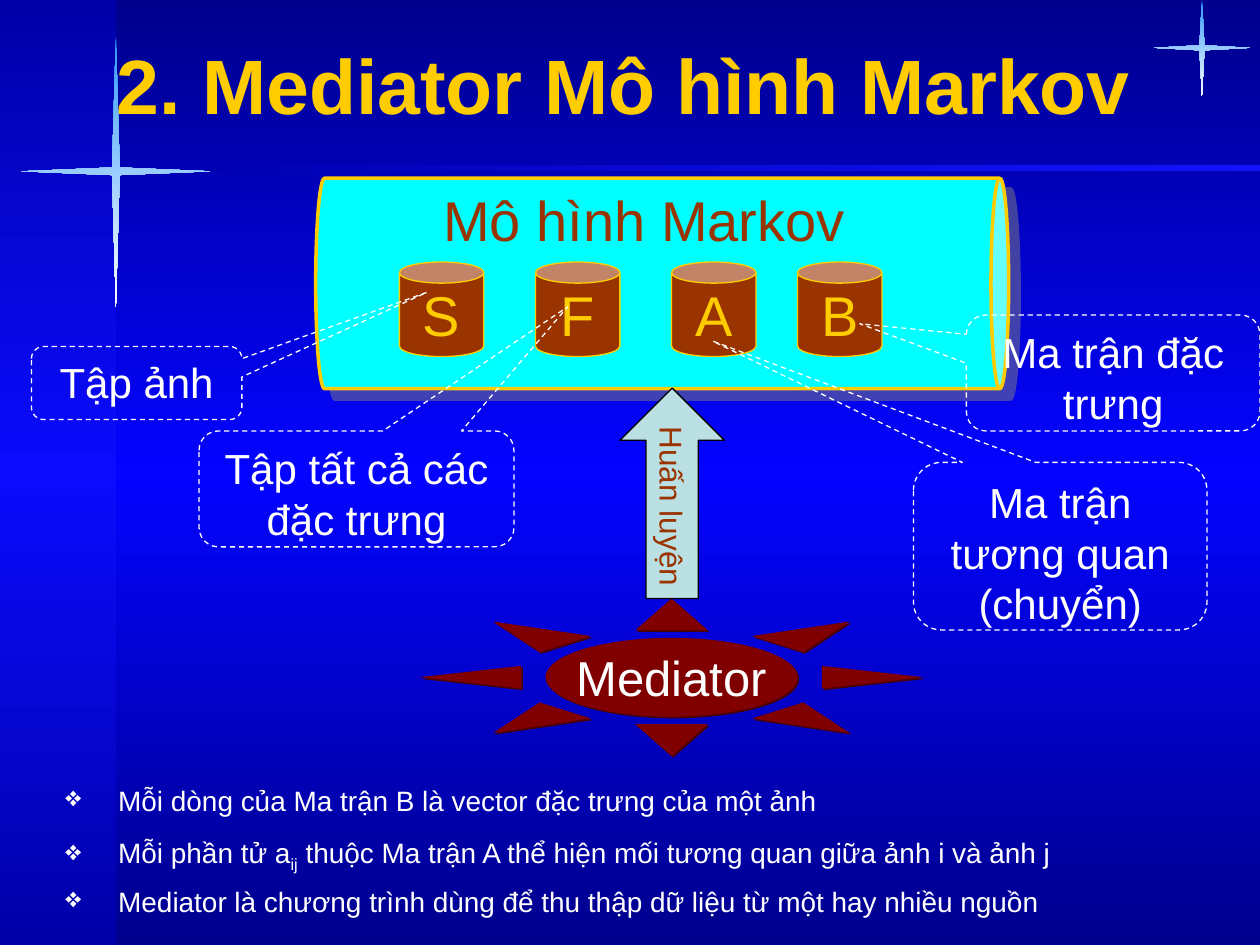
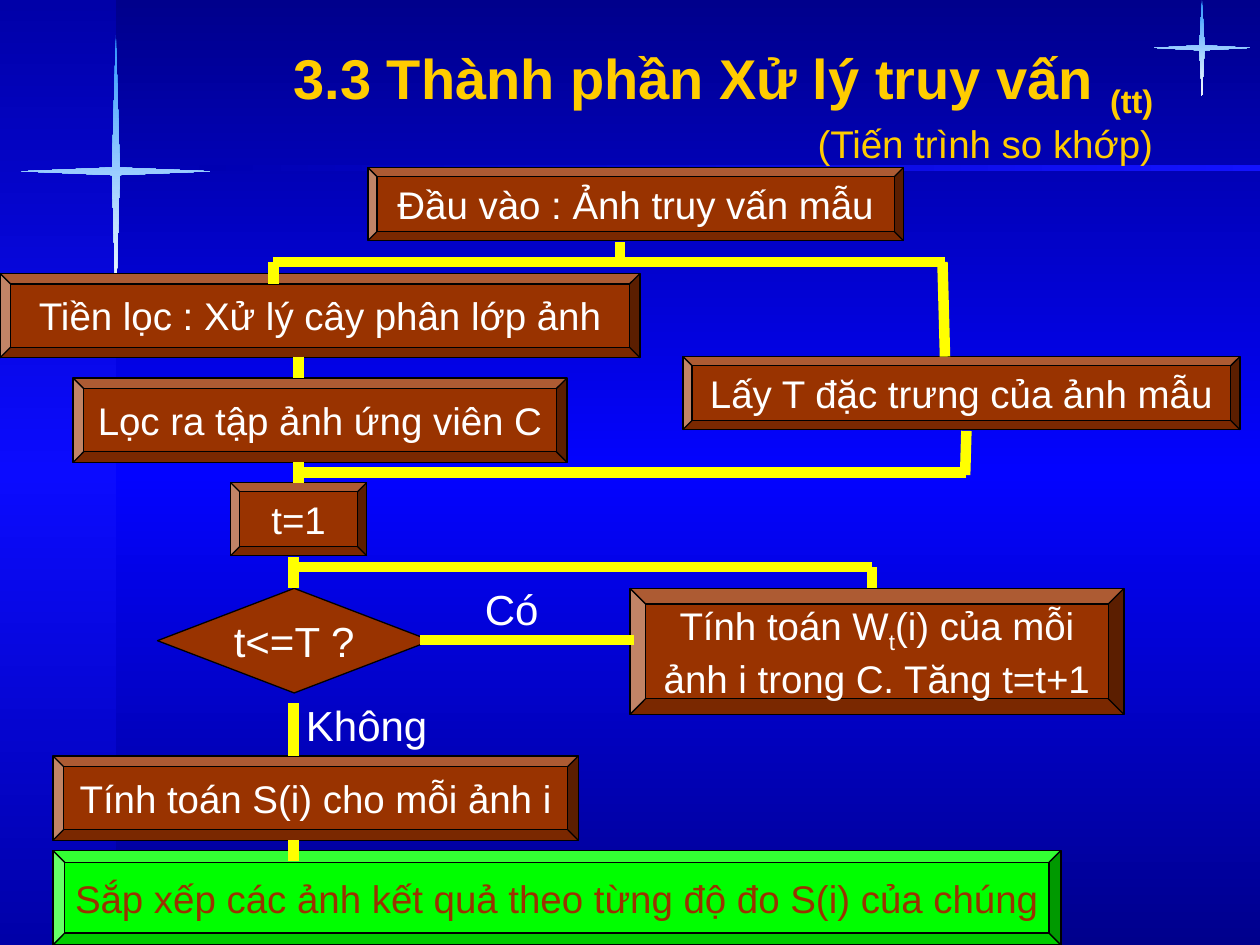
from lxml import etree
from pptx import Presentation
from pptx import util as u
from pptx.dml.color import RGBColor
from pptx.enum import dml, shapes, text
from pptx.oxml import ns

GOLD = RGBColor(0xFF, 0xCC, 0x00)
WHITE = RGBColor(0xFF, 0xFF, 0xFF)
BLACK = RGBColor(0x00, 0x00, 0x00)
BROWN = RGBColor(0x99, 0x33, 0x00)
CYAN = RGBColor(0x00, 0xFF, 0xFF)
GRAY = RGBColor(0x80, 0x80, 0x80)
RED = RGBColor(0x80, 0x00, 0x00)
DARK = RGBColor(0x4C, 0x00, 0x00)
PALE = RGBColor(0xBB, 0xE0, 0xE3)
GREEN = RGBColor(0x00, 0xFF, 0x00)
YELLOW = RGBColor(0xFF, 0xFF, 0x00)
NAVY = RGBColor(0x00, 0x00, 0x8C)
BLUE = RGBColor(0x03, 0x03, 0xFF)
EDGE = RGBColor(0x00, 0x00, 0xA8)
GLOW = RGBColor(0x0B, 0x0B, 0xFF)
RULE = RGBColor(0x13, 0x13, 0xFF)
FADE = RGBColor(0x00, 0x00, 0xB2)
SKY = RGBColor(0x33, 0x99, 0xFF)

FONT = "Arial"
KIND = shapes.MSO_SHAPE
MID = text.MSO_ANCHOR.MIDDLE
CENTER = text.PP_ALIGN.CENTER
RIGHT = text.PP_ALIGN.RIGHT


def inches(*nums):
    return [u.Inches(n) for n in nums]


def node(parent, tag, **attrs):
    item = etree.SubElement(parent, ns.qn(tag))
    for key, val in attrs.items():
        item.set(key, str(val))
    return item


def blend(fill, root, colors, angle=90):
    fill.gradient()
    grad = next(root.iter(ns.qn("a:gradFill")))
    for child in list(grad):
        grad.remove(child)
    stops = node(grad, "a:gsLst")
    for i, color in enumerate(colors):
        stop = node(stops, "a:gs", pos=100000 * i // (len(colors) - 1))
        node(stop, "a:srgbClr", val=color)
    node(grad, "a:lin", ang=angle * 60000, scaled=0)


def style(run, size, color, bold=False):
    font = run.font
    font.name, font.size, font.bold = FONT, u.Pt(size), bold
    font.color.rgb = color


def write(shape, words, size, color, align=None, anchor=None, wrap=True, bold=False):
    frame = shape.text_frame
    frame.word_wrap = wrap
    frame.vertical_anchor = anchor or text.MSO_ANCHOR.TOP
    para = frame.paragraphs[0]
    para.alignment = align or text.PP_ALIGN.LEFT
    for i, part in enumerate(words.split("|")):
        run = para.add_run()
        run.text = part
        style(run, size, color, bold)
        if i % 2:
            run.font._element.set("baseline", "-25000")
    return para


def add(slide, kind, spot, fill=None, line=None, width=0.75, adjust=()):
    shape = slide.shapes.add_shape(kind, *inches(*spot))
    shape.shadow.inherit = False
    if fill is None:
        shape.fill.background()
    else:
        shape.fill.solid()
        shape.fill.fore_color.rgb = fill
    if line is None:
        shape.line.fill.background()
    else:
        shape.line.color.rgb = line
        shape.line.width = u.Pt(width)
    for i, val in enumerate(adjust):
        shape.adjustments[i] = val
    return shape


def shade(shape, color, alpha, dist):
    effects = shape._element.spPr.find(ns.qn("a:effectLst"))
    outer = node(effects, "a:outerShdw", dist=u.Pt(dist), dir=45 * 60000,
                 algn="ctr", rotWithShape=0)
    tint = node(outer, "a:srgbClr", val=color)
    node(tint, "a:alpha", val=alpha * 1000)


def label(slide, spot, words, size, color, **look):
    box = slide.shapes.add_textbox(*inches(*spot))
    return write(box, words, size, color, **look)


def title(slide, left, top, words, size):
    return label(slide, (left, top, 8.83, 1.03), words, size, GOLD,
                 align=RIGHT, bold=True)


def star(slide, x, y, wide, high, dx, dy):
    dots = [(x - wide, y), (x - dx, y - dy), (x, y - high), (x + dx, y - dy),
            (x + wide, y), (x + dx, y + dy), (x, y + high), (x - dx, y + dy)]
    dots = [inches(*dot) for dot in dots]
    pen = slide.shapes.build_freeform(*dots[0])
    pen.add_line_segments(dots[1:], close=True)
    shape = pen.convert_to_shape()
    shape.shadow.inherit = False
    shape.line.fill.background()
    blend(shape.fill, shape._element, (SKY, WHITE))


def new_slide(deck):
    slide = deck.slides.add_slide(deck.slide_layouts[6])
    side = add(slide, KIND.RECTANGLE, (0, 0, 0.92, 7.5))
    blend(side.fill, side._element, (EDGE, GLOW, EDGE))
    band = add(slide, KIND.RECTANGLE, (1.58, 1.31, 8.42, 0.05))
    blend(band.fill, band._element, (RULE, FADE), 180)
    star(slide, 0.92, 1.36, 0.75, 1.08, 0.03, 0.03)
    star(slide, 9.54, 0.38, 0.38, 0.38, 0.02, 0.02)
    return slide


def drum(slide, left, words):
    shape = add(slide, KIND.CAN, (left, 2.08, 0.67, 0.75), BROWN, GOLD)
    write(shape, words, 32, GOLD, CENTER, MID, False)


def callout(slide, spot, tip, words):
    shape = add(slide, KIND.ROUNDED_RECTANGULAR_CALLOUT, spot, None, WHITE,
                adjust=(*tip, 0.167))
    shape.line.dash_style = dml.MSO_LINE.DASH
    write(shape, words, 24, WHITE, CENTER)


def bullet(slide, top, words):
    para = label(slide, (0.42, top, 9.5, 0.37), words, 16, WHITE)
    props = para._p.get_or_add_pPr()
    props.set("marL", str(u.Inches(0.42)))
    props.set("indent", str(u.Inches(-0.42)))
    node(node(props, "a:buClr"), "a:srgbClr", val=WHITE)
    node(props, "a:buChar", char="❖")


def step(slide, spot, words, fill=BROWN, color=WHITE, wrap=False):
    shape = add(slide, KIND.BEVEL, spot, fill, BLACK)
    write(shape, words, 22, color, CENTER, MID, wrap)


def link(slide, *ends):
    line = slide.shapes.add_connector(shapes.MSO_CONNECTOR.STRAIGHT, *inches(*ends))
    line.line.color.rgb = YELLOW
    line.line.width = u.Pt(6)
    node(line._element.spPr, "a:effectLst")


def model(deck):
    slide = new_slide(deck)
    title(slide, 0.25, 0.25, "2. Mediator Mô hình Markov", 44)

    tube = add(slide, KIND.CAN, (4.42, -0.5, 1.67, 5.5), CYAN, GOLD, 2, (0.084,))
    tube.rotation = 90
    shade(tube, GRAY, 50, 8.5)
    for left, words in zip((3.17, 4.25, 5.33, 6.33), "SFAB"):
        drum(slide, left, words)
    label(slide, (3.42, 1.42, 3.5, 0.64), "Mô hình Markov", 32, BROWN)

    callout(slide, (0.25, 2.75, 1.67, 0.58), (1.379, -1.241), "Tập ảnh")
    callout(slide, (7.25, 3.67, 2.33, 1.33), (-1.184, -1.224),
            "Ma trận tương quan (chuyển)")
    callout(slide, (7.67, 2.5, 2.33, 0.92), (-0.863, -0.424), "Ma trận đặc trưng")
    callout(slide, (1.58, 3.42, 2.5, 0.92), (0.67, -1.57), "Tập tất cả các đặc trưng")

    sun = add(slide, KIND.SUN, (3.33, 4.75, 4, 1.25), RED)
    shade(sun, DARK, 100, 1.4)
    write(sun, "Mediator", 28, WHITE, CENTER, MID, False)
    arrow = add(slide, KIND.UP_ARROW, (4.92, 3.08, 0.83, 1.67), PALE, BLACK)
    write(arrow, "Huấn luyện", 18, BROWN, CENTER, MID, False)
    frame = arrow.text_frame
    frame.margin_left = frame.margin_right = u.Inches(0.05)
    frame.margin_top = frame.margin_bottom = u.Inches(0.1)
    frame._txBody.bodyPr.set("vert", "eaVert")

    bullet(slide, 6.17, "Mỗi dòng của Ma trận B là vector đặc trưng của một ảnh")
    bullet(slide, 6.58, "Mỗi phần tử a|ij| thuộc Ma trận A thể hiện mối tương quan "
                        "giữa ảnh i và ảnh j")
    bullet(slide, 6.97, "Mediator là chương trình dùng để thu thập dữ liệu "
                        "từ một hay nhiều nguồn")


def query(deck):
    slide = new_slide(deck)
    head = title(slide, 0.42, 0.3, "3.3 Thành phần Xử lý truy vấn |(tt)", 32)
    head.add_line_break()
    sub = head.add_run()
    sub.text = "(Tiến trình so khớp)"
    style(sub, 22, GOLD)

    step(slide, (2.92, 1.33, 4.25, 0.58), "Đầu vào : Ảnh truy vấn mẫu")
    step(slide, (0, 2.17, 5.08, 0.67), "Tiền lọc : Xử lý cây phân lớp ảnh")
    step(slide, (0.58, 3, 3.92, 0.67), "Lọc ra tập ảnh ứng viên C")
    step(slide, (1.83, 3.83, 1.08, 0.58), "t=1")
    test = add(slide, KIND.FLOWCHART_DECISION, (1.25, 4.67, 2.17, 0.83), BROWN, BLACK)
    write(test, "t<=T ?", 24, WHITE, CENTER, MID, False)
    step(slide, (5, 4.67, 3.92, 1),
         "Tính toán W|t|(i) của mỗi ảnh i trong C. Tăng t=t+1", wrap=True)
    step(slide, (5.42, 2.83, 4.42, 0.58), "Lấy T đặc trưng của ảnh mẫu")
    step(slide, (0.42, 6, 4.17, 0.67), "Tính toán S(i) cho mỗi ảnh i")
    step(slide, (0.42, 6.75, 8, 0.75),
         "Sắp xếp các ảnh kết quả theo từng độ đo S(i) của chúng", GREEN, BROWN)

    for x, top, end in ((4.92, 1.92, 2.08), (2.17, 2.08, 2.25), (2.37, 2.83, 3),
                        (2.37, 3.67, 3.83), (2.33, 4.42, 4.67), (2.33, 5.58, 6),
                        (2.33, 6.67, 6.83), (6.92, 4.5, 4.67)):
        link(slide, x, top, x, end)
    for y, start, end in ((2.08, 7.5, 2.17), (3.75, 7.67, 2.33),
                          (5.08, 5.03, 3.33), (4.5, 6.92, 2.29)):
        link(slide, start, y, end, y)
    link(slide, 7.48, 2.08, 7.5, 2.83)
    link(slide, 7.67, 3.42, 7.66, 3.77)

    label(slide, (3.75, 4.58, 0.67, 0.5), "Có", 24, WHITE)
    label(slide, (2.33, 5.5, 1.17, 0.5), "Không", 24, WHITE)


def main():
    deck = Presentation()
    deck.slide_width, deck.slide_height = inches(10, 7.5)
    master = deck.slide_master
    blend(master.background.fill, master._element, (NAVY, BLUE, NAVY))
    model(deck)
    query(deck)
    deck.save("out.pptx")


if __name__ == "__main__":
    main()
